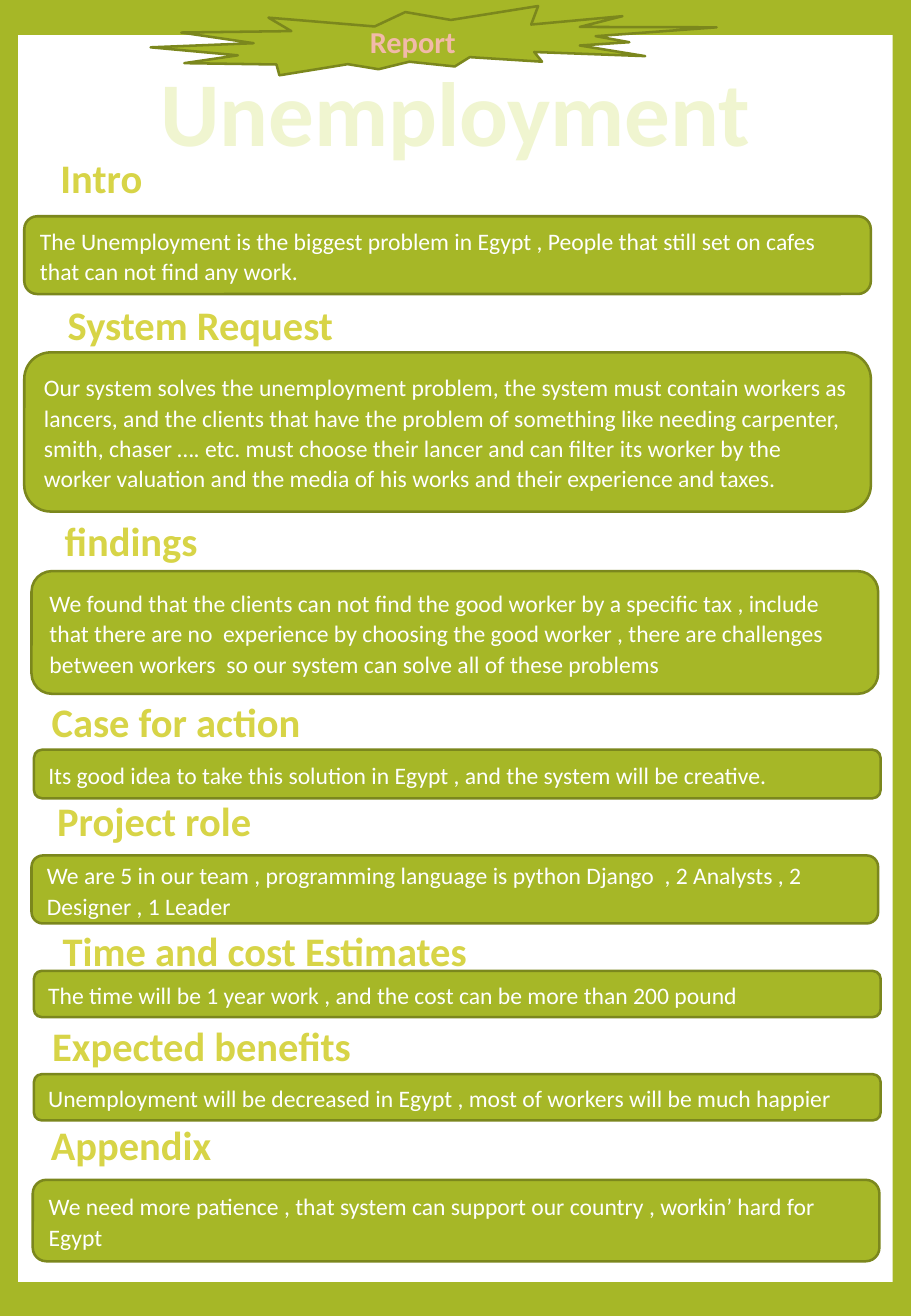
from dataclasses import dataclass

import pptx
import pptx.dml.color
import pptx.enum.shapes
import pptx.enum.text
import pptx.util

RGBColor = pptx.dml.color.RGBColor
Inches = pptx.util.Inches
Shape = pptx.enum.shapes.MSO_SHAPE
Align = pptx.enum.text.PP_ALIGN

OLIVE = RGBColor(0xA6, 0xB7, 0x27)
DARK_OLIVE = RGBColor(0x7B, 0x87, 0x1D)
PALE_OLIVE = RGBColor(0xF0, 0xF5, 0xD0)
YELLOW = RGBColor(0xD7, 0xD4, 0x47)
SALMON = RGBColor(0xF2, 0xBA, 0xA9)
WHITE = RGBColor(0xFF, 0xFF, 0xFF)

FONT = "Calibri"
HEADING_HEIGHT = 0.5
BODY_WIDTH = 6.97


@dataclass(frozen=True)
class Section:
    heading: str
    heading_left: float
    heading_top: float
    heading_width: float
    body: str
    body_left: float
    body_top: float
    body_height: float


SECTIONS = [
    Section("Intro", -0.43, 1.21, 2.53,
            "The Unemployment is the biggest problem in Egypt , People that still set on cafes "
            "that can not find any work.", 0.2, 1.78, 0.64),
    Section("System Request", 0.2, 2.42, 2.9,
            "Our system solves the unemployment problem, the system must contain workers as "
            "lancers, and the clients that have the problem of something like needing carpenter, "
            "smith, chaser …. etc. must choose their lancer and can filter its worker by the "
            "worker valuation and the media of his works and their experience and taxes.",
            0.2, 2.9, 1.31),
    Section("findings", -0.37, 4.2, 2.9,
            "We found that the clients can not find the good worker by a specific tax , include "
            "that there are no  experience by choosing the good worker , there are challenges "
            "between workers  so our system can solve all of these problems", 0.26, 4.7, 1.01),
    Section("Case for action", 0, 5.69, 2.9,
            "Its good idea to take this solution in Egypt , and the system will be creative.",
            0.28, 6.17, 0.4),
    Section("Project role", -0.18, 6.5, 2.9,
            "We are 5 in our team , programming language is python Django  , 2 Analysts , 2 "
            "Designer , 1 Leader", 0.26, 7.04, 0.56),
    Section("Time and cost Estimates", 0.25, 7.57, 3.86,
            "The time will be 1 year work , and the cost can be more than 200 pound",
            0.28, 7.99, 0.38),
    Section("Expected benefits", -0.27, 8.35, 3.86,
            "Unemployment will be decreased in Egypt , most of workers will be much happier",
            0.28, 8.84, 0.38),
    Section("Appendix", -0.85, 9.17, 3.86,
            "We need more patience , that system can support our country , workin’ hard for Egypt",
            0.27, 9.71, 0.67),
]


def write(box, text: str, size: float, color: RGBColor, bold: bool, align: Align):
    frame = box.text_frame
    frame.text = text
    para = frame.paragraphs[0]
    para.alignment = align
    font = para.runs[0].font
    font.name = FONT
    font.size = pptx.util.Pt(size)
    font.bold = bold
    font.color.rgb = color
    return para


def add_label(page, text: str, left: float, top: float, width: float, height: float,
              size: float, color: RGBColor, wrap: bool) -> None:
    box = page.shapes.add_textbox(Inches(left), Inches(top), Inches(width), Inches(height))
    write(box, text, size, color, True, Align.CENTER)
    box.text_frame.word_wrap = wrap
    box.text_frame.auto_size = pptx.enum.text.MSO_AUTO_SIZE.SHAPE_TO_FIT_TEXT


def add_panel(page, kind: Shape, left: float, top: float, width: float, height: float,
              fill: RGBColor, outlined: bool):
    panel = page.shapes.add_shape(kind, Inches(left), Inches(top), Inches(width), Inches(height))
    panel.shadow.inherit = False
    panel.fill.solid()
    panel.fill.fore_color.rgb = fill
    if outlined:
        panel.line.color.rgb = DARK_OLIVE
        panel.line.width = pptx.util.Pt(1.5)
    else:
        panel.line.fill.background()
    panel.text_frame.word_wrap = True
    panel.text_frame.vertical_anchor = pptx.enum.text.MSO_ANCHOR.MIDDLE
    return panel


def add_section(page, section: Section) -> None:
    add_label(page, section.heading, section.heading_left, section.heading_top,
              section.heading_width, HEADING_HEIGHT, 24, YELLOW, True)
    panel = add_panel(page, Shape.ROUNDED_RECTANGLE, section.body_left, section.body_top,
                      BODY_WIDTH, section.body_height, OLIVE, True)
    para = write(panel, section.body, 14, WHITE, False, Align.LEFT)
    para.line_spacing = 1.07
    para.space_after = pptx.util.Pt(8)


def main() -> None:
    deck = pptx.Presentation()
    deck.slide_width = Inches(7.5)
    deck.slide_height = Inches(10.83)
    page = deck.slides.add_slide(deck.slide_layouts[6])
    page.background.fill.solid()
    page.background.fill.fore_color.rgb = OLIVE

    add_panel(page, Shape.RECTANGLE, 0.15, 0.29, 7.2, 10.26, WHITE, False)
    add_label(page, "Unemployment", 1.08, 0.41, 5.34, 1.01, 54, PALE_OLIVE, False)
    for section in SECTIONS:
        add_section(page, section)
    burst = add_panel(page, Shape.EXPLOSION2, 1.24, 0.05, 4.66, 0.57, OLIVE, True)
    write(burst, "Report", 18, SALMON, True, Align.CENTER)

    deck.save("out.pptx")


if __name__ == "__main__":
    main()
